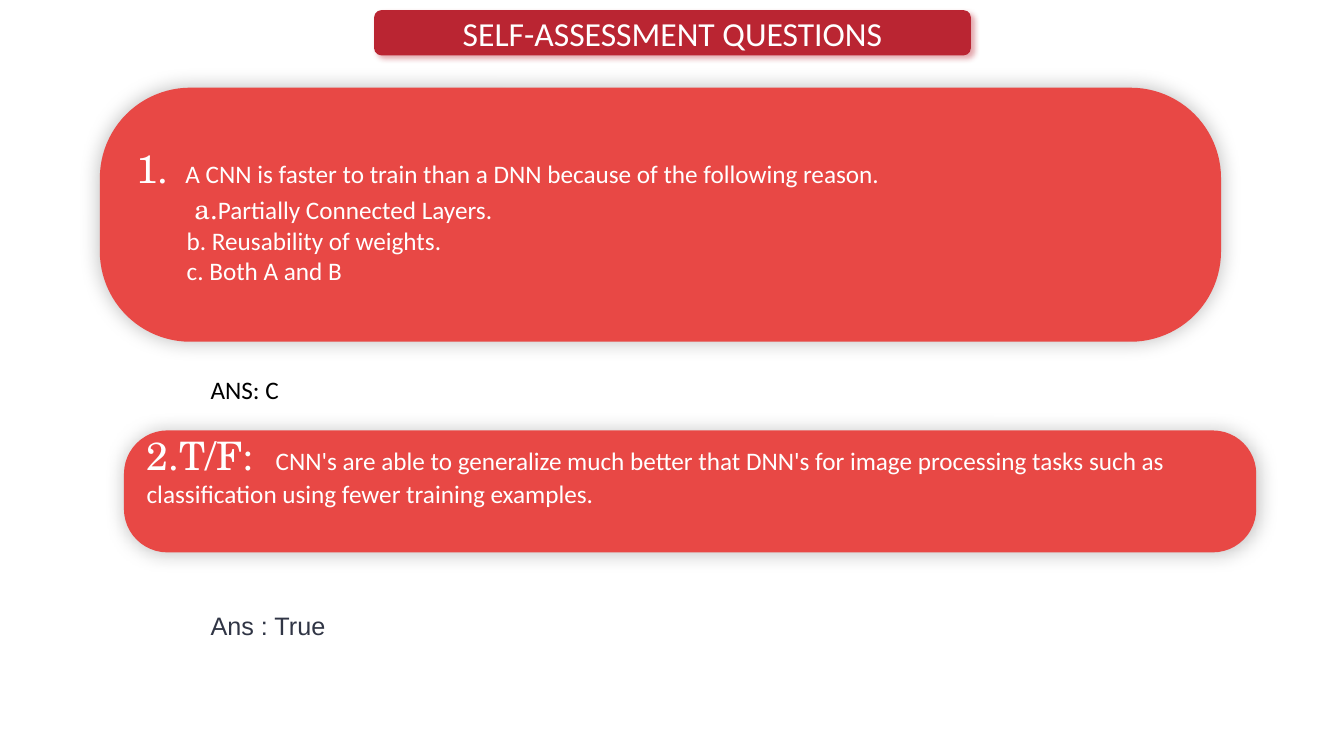
import pptx
import pptx.util
import pptx.dml.color
import pptx.enum.shapes
import pptx.enum.text
import pptx.oxml
import pptx.oxml.ns

Inches = pptx.util.Inches
Pt = pptx.util.Pt
ALIGN = pptx.enum.text.PP_ALIGN
ANCHOR = pptx.enum.text.MSO_ANCHOR
SERIF = "TeX Gyre Schola"
SANS = "Calibri"
WHITE = "FFFFFF"
RED = "E84845"
DEEP = "BA2532"
GLOW = ("000000", 25, 15, 0, 0)


def color(code):
    return pptx.dml.color.RGBColor.from_string(code)


def apply(target, values):
    for name, value in values.items():
        setattr(target, name, value)


def node(parent, tag, **attrs):
    child = parent.makeelement(pptx.oxml.ns.qn(tag), {})
    for name, value in attrs.items():
        child.set(name, str(value))
    parent.append(child)
    return child


def shade(shape, code, alpha, blur, dist, angle):
    shape.shadow.inherit = False
    effect = shape._element.spPr.find(pptx.oxml.ns.qn("a:effectLst"))
    outer = node(effect, "a:outerShdw", blurRad=Pt(blur), dist=Pt(dist),
                 dir=angle * 60000, algn="ctr", rotWithShape=0)
    tint = node(outer, "a:srgbClr", val=code)
    node(tint, "a:alpha", val=alpha * 1000)


def card(slide, box, fill, glow, round=None):
    kind = pptx.enum.shapes.MSO_SHAPE.ROUNDED_RECTANGLE
    shape = slide.shapes.add_shape(kind, *map(Inches, box))
    if round is not None:
        shape.adjustments[0] = round
    shape.fill.solid()
    shape.fill.fore_color.rgb = color(fill)
    shape.line.fill.background()
    shade(shape, *glow)
    apply(shape.text_frame, {"word_wrap": True,
                             "vertical_anchor": ANCHOR.MIDDLE})
    return shape.text_frame


def write(para, text, size, font=SANS, code=WHITE):
    for row, line in enumerate(text.split("\n")):
        if row:
            para.add_line_break()
        run = para.add_run()
        run.text = line
        apply(run.font, {"size": Pt(size), "name": font})
        run.font.color.rgb = color(code)


def title(slide, box):
    para = card(slide, box, DEEP, (DEEP, 40, 4, 3, 45)).paragraphs[0]
    para.alignment = ALIGN.CENTER
    write(para, "SELF-ASSESSMENT QUESTIONS", 24)


def choice(slide, box):
    frame = card(slide, box, RED, GLOW, 0.356)
    head = frame.paragraphs[0]
    head.alignment = ALIGN.LEFT
    props = head._p.get_or_add_pPr()
    props.set("marL", str(Inches(0.38)))
    props.set("indent", str(Inches(-0.38)))
    node(props, "a:buFont", typeface=SERIF)
    node(props, "a:buAutoNum", type="arabicPeriod")
    write(head, " ", 28, SERIF)
    write(head, "A CNN is faster to train than a DNN because of "
          "the following reason.", 18)
    items = frame.add_paragraph()
    apply(items, {"level": 1, "alignment": ALIGN.LEFT})
    props = items._p.get_or_add_pPr()
    props.set("marL", str(Inches(0.5)))
    props.set("indent", "0")
    write(items, " a.", 20, SERIF)
    write(items, "Partially Connected Layers.\nb. Reusability of weights.\n"
          "c. Both A and B", 18)


def claim(slide, box):
    frame = card(slide, box, RED, GLOW, 0.356)
    apply(frame, {"margin_top": 0, "margin_bottom": Inches(0.43)})
    para = frame.paragraphs[0]
    para.alignment = ALIGN.LEFT
    tabs = node(para._p.get_or_add_pPr(), "a:tabLst")
    node(tabs, "a:tab", pos=Inches(1.28), algn="l")
    write(para, "2.T/F:\t", 28, SERIF)
    write(para, "CNN's are able to generalize much better that DNN's for "
          "image processing tasks such as classification using fewer "
          "training examples.", 18)


def answer(slide, box, text, font, code, **layout):
    frame = slide.shapes.add_textbox(*map(Inches, box)).text_frame
    frame.word_wrap = True
    para = frame.paragraphs[0]
    apply(para, layout)
    write(para, text, 18, font, code)


def main():
    deck = pptx.Presentation()
    apply(deck, {"slide_width": Inches(13.33), "slide_height": Inches(7.5)})
    slide = deck.slides.add_slide(deck.slide_layouts[6])
    title(slide, (3.71, 0.1, 5.92, 0.45))
    choice(slide, (0.99, 0.87, 11.12, 2.52))
    claim(slide, (1.23, 4.27, 11.23, 1.21))
    answer(slide, (1.99, 3.66, 3.21, 0.4), "ANS: C", SANS, "000000")
    answer(slide, (1.99, 5.98, 6.67, 0.43), "Ans : True", "Arial", "303545",
           line_spacing=1.07, space_after=Pt(8))
    deck.save("out.pptx")


if __name__ == "__main__":
    main()
